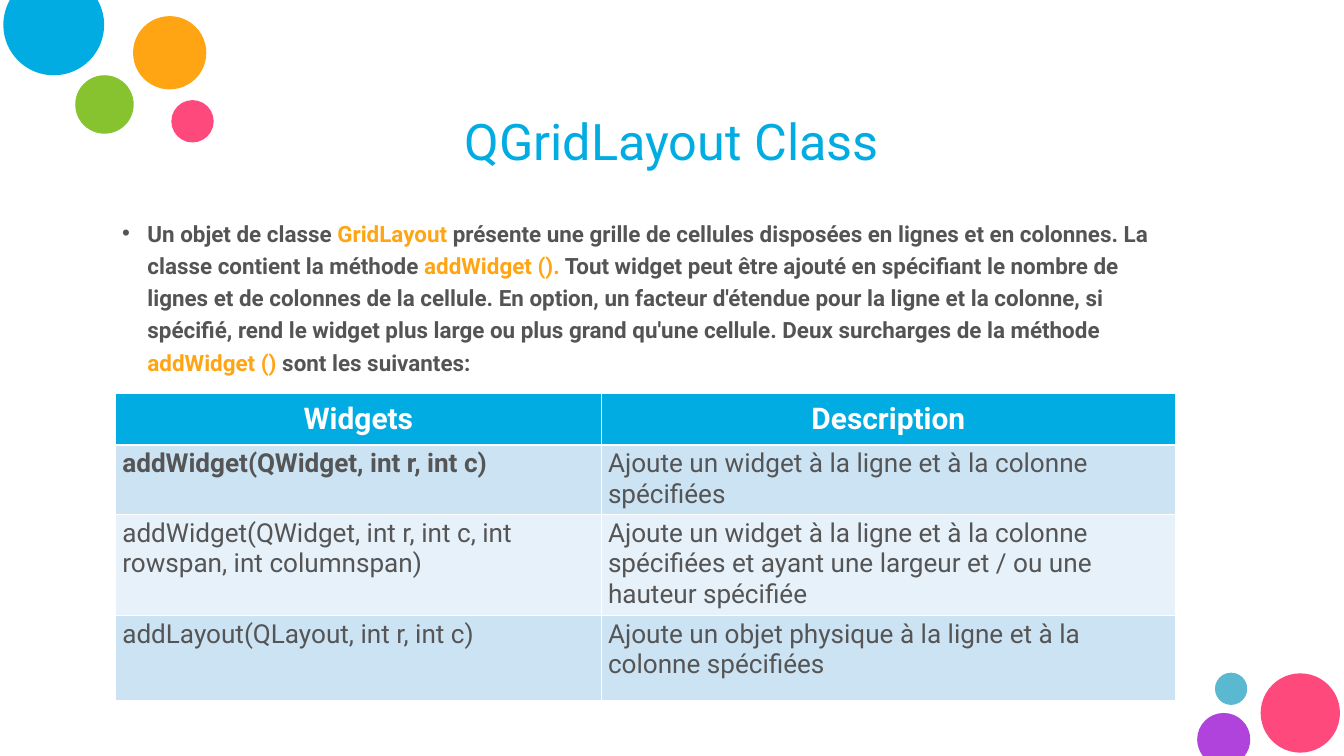
"""Build the QGridLayout Class slide with its method table."""
from math import asin, cos, pi, sin, tan

from lxml import etree
from pptx import Presentation
from pptx.dml.color import RGBColor
from pptx.enum.shapes import MSO_SHAPE
from pptx.enum.text import MSO_ANCHOR, PP_ALIGN
from pptx.oxml.ns import qn
from pptx.util import Pt

OVAL = MSO_SHAPE.OVAL
MIDDLE, TOP = MSO_ANCHOR.MIDDLE, MSO_ANCHOR.TOP
CENTER, LEFT = PP_ALIGN.CENTER, PP_ALIGN.LEFT
FONT = "Roboto"
BLUE = RGBColor(0x00, 0xAC, 0xE2)
ORANGE = RGBColor(0xFF, 0xA5, 0x13)
GREEN = RGBColor(0x87, 0xC3, 0x2F)
PINK = RGBColor(0xFD, 0x49, 0x7C)
TEAL = RGBColor(0x5B, 0xB8, 0xD1)
PURPLE = RGBColor(0xB1, 0x43, 0xDD)
WHITE = RGBColor(0xFF, 0xFF, 0xFF)
GREY = RGBColor(0x54, 0x54, 0x54)
INK = RGBColor(0x55, 0x55, 0x55)
BANDS = [RGBColor(0xCC, 0xE3, 0xF4), RGBColor(0xE7, 0xF1, 0xFA)]


def add_run(para, text, size, color, bold=False):
    run = para.add_run()
    run.text = text
    run.font.name = FONT
    run.font.size = Pt(size)
    run.font.bold = bold
    run.font.color.rgb = color


def paint(shape, color):
    shape.shadow.inherit = False
    shape.fill.solid()
    shape.fill.fore_color.rgb = color
    shape.line.fill.background()


prs = Presentation()
prs.slide_width, prs.slide_height = Pt(1440), Pt(810)
slide = prs.slides.add_slide(prs.slide_layouts[6])
shapes = slide.shapes

box = shapes.add_textbox(Pt(151.92), Pt(113.76), Pt(1136.16), Pt(72.72))
frame = box.text_frame
frame.word_wrap = True
frame.vertical_anchor = MIDDLE
para = frame.paragraphs[0]
para.alignment = CENTER
add_run(para, "QGridLayout Class", 54, BLUE)

ROWS = [
    ("Widgets", "Description"),
    ("addWidget(QWidget, int r, int c)",
     "Ajoute un widget à la ligne et à la colonne spécifiées"),
    ("addWidget(QWidget, int r, int c, int rowspan, int columnspan)",
     "Ajoute un widget à la ligne et à la colonne spécifiées et ayant "
     "une largeur et / ou une hauteur spécifiée"),
    ("addLayout(QLayout, int r, int c)",
     "Ajoute un objet physique à la ligne et à la colonne spécifiées"),
]
table = shapes.add_table(4, 2, Pt(123.84), Pt(421.2), Pt(1136), Pt(289)).table
for col, width in zip(table.columns, (520.4, 615.4)):
    col.width = Pt(width)
for row, height in zip(table.rows, (55.8, 49.68, 91.44, 91.44)):
    row.height = Pt(height)
for i, texts in enumerate(ROWS):
    head = i == 0
    for j, text in enumerate(texts):
        cell = table.cell(i, j)
        cell.fill.solid()
        cell.fill.fore_color.rgb = BLUE if head else BANDS[(i - 1) % 2]
        cell.vertical_anchor = MIDDLE if head else TOP
        para = cell.text_frame.paragraphs[0]
        para.alignment = CENTER if head else LEFT
        add_run(para, text, 32 if head else 28, WHITE if head else INK,
                head or (i, j) == (1, 0))
        props = cell._tc.get_or_add_tcPr()
        for n, side in enumerate("LRTB"):
            thick = (i, side) in ((0, "B"), (1, "T"))
            edge = etree.Element(qn("a:ln" + side), w=str(Pt(3 if thick else 1)))
            fill = etree.SubElement(edge, qn("a:solidFill"))
            etree.SubElement(fill, qn("a:srgbClr")).set("val", str(WHITE))
            props.insert(n, edge)

INTRO = [
    ("Un objet de classe ", GREY),
    ("GridLayout", ORANGE),
    (" présente une grille de cellules disposées en lignes et en colonnes. "
     "La classe contient la méthode ", GREY),
    ("addWidget ().", ORANGE),
    (" Tout widget peut être ajouté en spécifiant le nombre de lignes et de "
     "colonnes de la cellule. En option, un facteur d'étendue pour la ligne "
     "et la colonne, si spécifié, rend le widget plus large ou plus grand "
     "qu'une cellule. Deux surcharges de la méthode ", GREY),
    ("addWidget ()", ORANGE),
    (" sont les suivantes:", GREY),
]
box = shapes.add_textbox(Pt(123.84), Pt(225.36), Pt(1136.16), Pt(181.44))
frame = box.text_frame
frame.word_wrap = True
frame.vertical_anchor = MIDDLE
para = frame.paragraphs[0]
para.line_spacing = 1.2
para.space_before = Pt(12)
props = para._p.get_or_add_pPr()
props.set("marL", str(Pt(27)))
props.set("indent", str(-Pt(27)))
tint = etree.SubElement(props, qn("a:buClr"))
etree.SubElement(tint, qn("a:srgbClr")).set("val", str(GREY))
etree.SubElement(props, qn("a:buFont")).set("typeface", "Arial")
etree.SubElement(props, qn("a:buChar")).set("char", "•")
for text, color in INTRO:
    add_run(para, text, 24, color, True)

DOTS = [
    (183.6, 107.28, 45.36, PINK),
    (80.64, 80.64, 62.64, GREEN),
    (142.56, 17.28, 78.48, ORANGE),
    (1301.76, 720.72, 34.56, TEAL),
    (1350.72, 721.44, 84.96, PINK),
]
for left, top, size, color in DOTS:
    paint(shapes.add_shape(OVAL, Pt(left), Pt(top), Pt(size), Pt(size)), color)

CUTS = [(57.6, 26.64, 54, 26.64, 0, BLUE),
        (1311.12, 792.36, 28.44, 17.64, pi, PURPLE)]
for mid_x, mid_y, radius, gap, turn, color in CUTS:
    tilt = asin(gap / radius)
    stops = [turn + a for a in (-tilt, 0, pi / 2, pi, pi + tilt)]
    ring = [(Pt(mid_x + radius * cos(a)), Pt(mid_y + radius * sin(a)))
            for a in stops]
    path = shapes.build_freeform(*ring[-1])
    path.add_line_segments(ring, close=True)
    shape = path.convert_to_shape()
    paint(shape, color)
    lines = list(shape._element.iter(qn("a:lnTo")))[1:]
    for k, line in enumerate(lines):
        a, b = stops[k:k + 2]
        (x1, y1), (x2, y2) = ring[k:k + 2]
        pull = Pt(radius * 4 / 3 * tan((b - a) / 4))
        grips = [(x1 - pull * sin(a), y1 + pull * cos(a)),
                 (x2 + pull * sin(b), y2 - pull * cos(b))]
        line.tag = qn("a:cubicBezTo")
        for n, (x, y) in enumerate(grips):
            spot = etree.Element(qn("a:pt"), x=str(round(x - shape.left)),
                                 y=str(round(y - shape.top)))
            line.insert(n, spot)

prs.save("out.pptx")
